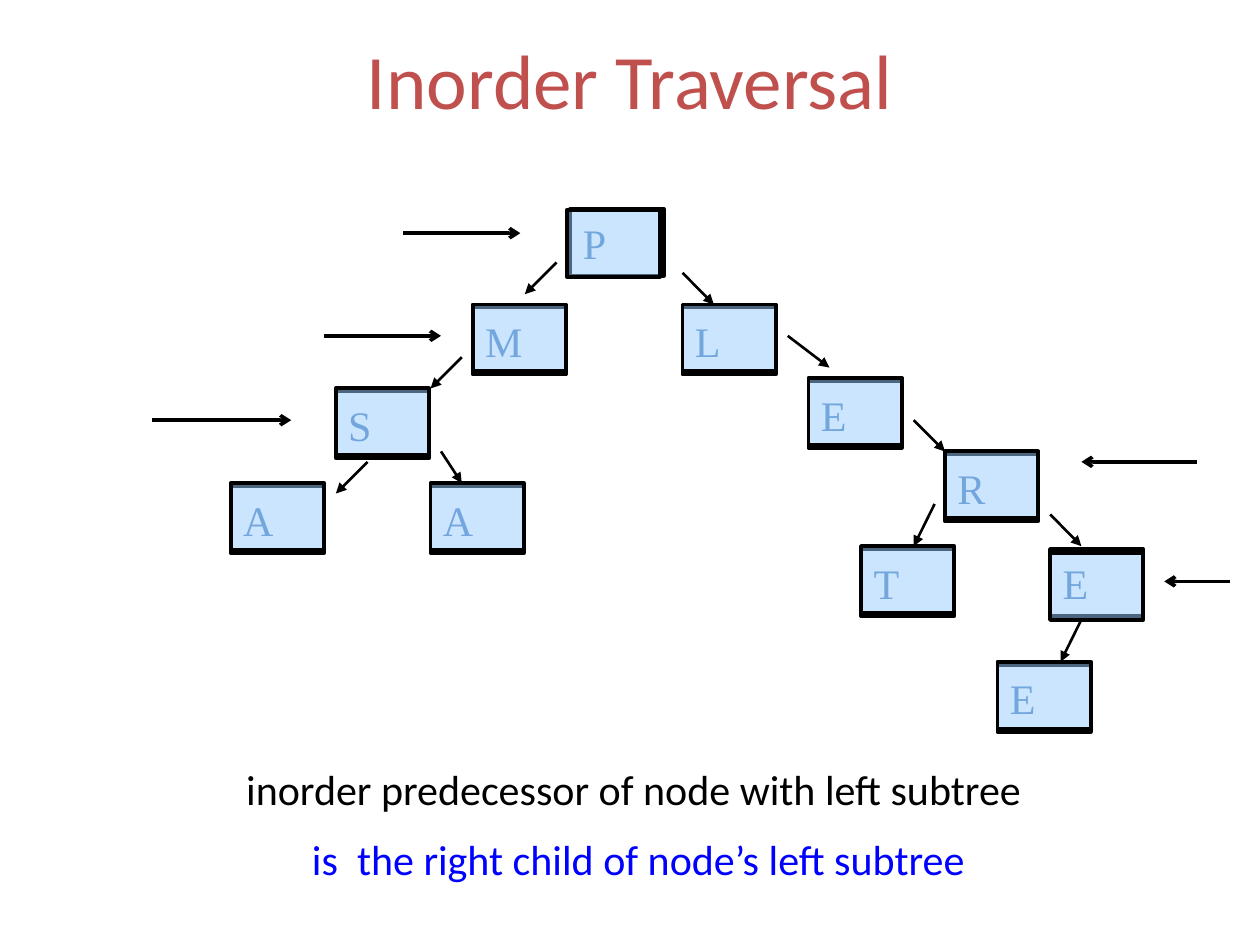
from dataclasses import dataclass

from lxml import etree
from pptx import Presentation
from pptx.dml.color import RGBColor
from pptx.enum.shapes import MSO_CONNECTOR, MSO_SHAPE
from pptx.enum.text import MSO_ANCHOR, PP_ALIGN
from pptx.oxml.ns import qn
from pptx.util import Cm, Pt

RECT = MSO_SHAPE.RECTANGLE
LINE = MSO_CONNECTOR.STRAIGHT
MIDDLE = MSO_ANCHOR.MIDDLE
LEFT = PP_ALIGN.LEFT
CENTER = PP_ALIGN.CENTER


@dataclass(frozen=True)
class Theme:
    """Colours, fonts and type sizes of the slide."""
    black: RGBColor = RGBColor(0, 0, 0)
    white: RGBColor = RGBColor(255, 255, 255)
    node: RGBColor = RGBColor(0x4F, 0x81, 0xBD)
    tint: RGBColor = RGBColor(0x99, 0xCC, 0xFF)
    red: RGBColor = RGBColor(0xC0, 0x50, 0x4D)
    blue: RGBColor = RGBColor(0, 0, 255)
    sans: str = "Calibri"
    serif: str = "Times New Roman"
    head: Pt = Pt(44)
    body: Pt = Pt(24)


THEME = Theme()
SIZE = (1.88, 1.35)
SHIFT = (0, 0.06)
NODES = [
    ("A", 4.65, 9.74, SHIFT),
    ("S", 6.77, 7.83, SHIFT),
    ("A", 8.68, 9.74, SHIFT),
    ("M", 9.53, 6.14, SHIFT),
    ("P", 11.43, 4.23, (0.07, -0.02)),
    ("L", 13.76, 6.14, SHIFT),
    ("E", 16.3, 7.62, SHIFT),
    ("R", 19.05, 9.1, SHIFT),
    ("T", 17.36, 11.01, SHIFT),
    ("E", 21.17, 11.15, (0, -0.08)),
    ("E", 20.11, 13.34, SHIFT),
]
EDGES = [
    (13.76, 5.5, 14.39, 6.14),
    (9.31, 7.2, 8.68, 7.83),
    (7.41, 9.31, 6.77, 9.95),
    (11.22, 5.29, 10.58, 5.93),
    (8.89, 9.1, 9.31, 9.74),
    (15.88, 6.77, 16.72, 7.41),
    (18.42, 8.47, 19.05, 9.1),
    (21.17, 10.37, 21.8, 11.01),
    (18.84, 10.16, 18.42, 11.01),
    (21.8, 12.49, 21.38, 13.34),
]
MARKS = [
    (3.07, 5.87, 8.47),
    (6.53, 8.89, 6.77),
    (8.13, 10.49, 4.7),
    (24.13, 21.8, 9.31),
    (24.79, 23.47, 11.72),
]


def style(item, values):
    """Set each named attribute on an item."""
    for name, value in values.items():
        setattr(item, name, value)


def write(para, text, face, size, color, align):
    """Fill a paragraph with one styled run."""
    para.alignment = align
    run = para.add_run()
    run.text = text
    style(run.font, {"name": face, "size": size})
    run.font.color.rgb = color


def box(slide, left, top, fill):
    """Add one outlined tree box."""
    shape = slide.shapes.add_shape(RECT, *map(Cm, (left, top, *SIZE)))
    shape.shadow.inherit = False
    shape.fill.solid()
    shape.fill.fore_color.rgb = fill
    shape.line.color.rgb = THEME.black
    shape.line.width = Pt(2.25)
    return shape


def label(slide, text, left, top):
    """Add a white box holding a letter."""
    frame = box(slide, left, top, THEME.white).text_frame
    style(frame, {"word_wrap": True, "vertical_anchor": MIDDLE})
    write(frame.paragraphs[0], text, THEME.serif, THEME.body, THEME.node, LEFT)


def cover(slide, left, top):
    """Add a half transparent tinted box."""
    shape = box(slide, left, top, THEME.tint)
    color = shape.fill._xPr.find(qn("a:solidFill"))[0]
    etree.SubElement(color, qn("a:alpha"), val="50000")


def arrow(slide, ends, width, head):
    """Add a line with a head at its end."""
    line = slide.shapes.add_connector(LINE, *map(Cm, ends))
    line.line.color.rgb = THEME.black
    line.line.width = Pt(width)
    props = line._element.spPr
    etree.SubElement(props.find(qn("a:ln")), qn("a:tailEnd"), type=head)
    etree.SubElement(props, qn("a:effectLst"))


def panel(slide, area, wrap):
    """Add a text box and return its frame."""
    frame = slide.shapes.add_textbox(*map(Cm, area)).text_frame
    style(frame, {"word_wrap": wrap, "vertical_anchor": MIDDLE})
    return frame


def title(slide, text):
    """Add the slide title."""
    frame = panel(slide, (1.27, 0, 22.86, 3.18), True)
    write(frame.paragraphs[0], text, THEME.sans, THEME.head, THEME.red, CENTER)


def note(slide, first, second):
    """Add the two lines under the tree."""
    frame = panel(slide, (4.62, 15.19, 16.31, 2.82), False)
    write(frame.paragraphs[0], first, THEME.sans, THEME.body, THEME.black, CENTER)
    para = frame.add_paragraph()
    para.space_before = Pt(11)
    write(para, second, THEME.sans, THEME.body, THEME.blue, CENTER)


def main():
    """Build and save the slide."""
    deck = Presentation()
    style(deck, {"slide_width": Cm(25.4), "slide_height": Cm(19.05)})
    slide = deck.slides.add_slide(deck.slide_layouts[6])
    for text, left, top, (right, down) in NODES:
        label(slide, text, left + right, top + down)
    for ends in EDGES:
        arrow(slide, ends, 1.5, "triangle")
    for _, left, top, _ in NODES:
        cover(slide, left, top)
    title(slide, "Inorder Traversal")
    note(
        slide,
        "inorder predecessor of node with left subtree",
        " is  the right child of node’s left subtree",
    )
    for start, end, top in MARKS:
        arrow(slide, (start, top, end, top), 2, "arrow")
    deck.save("out.pptx")


if __name__ == "__main__":
    main()
